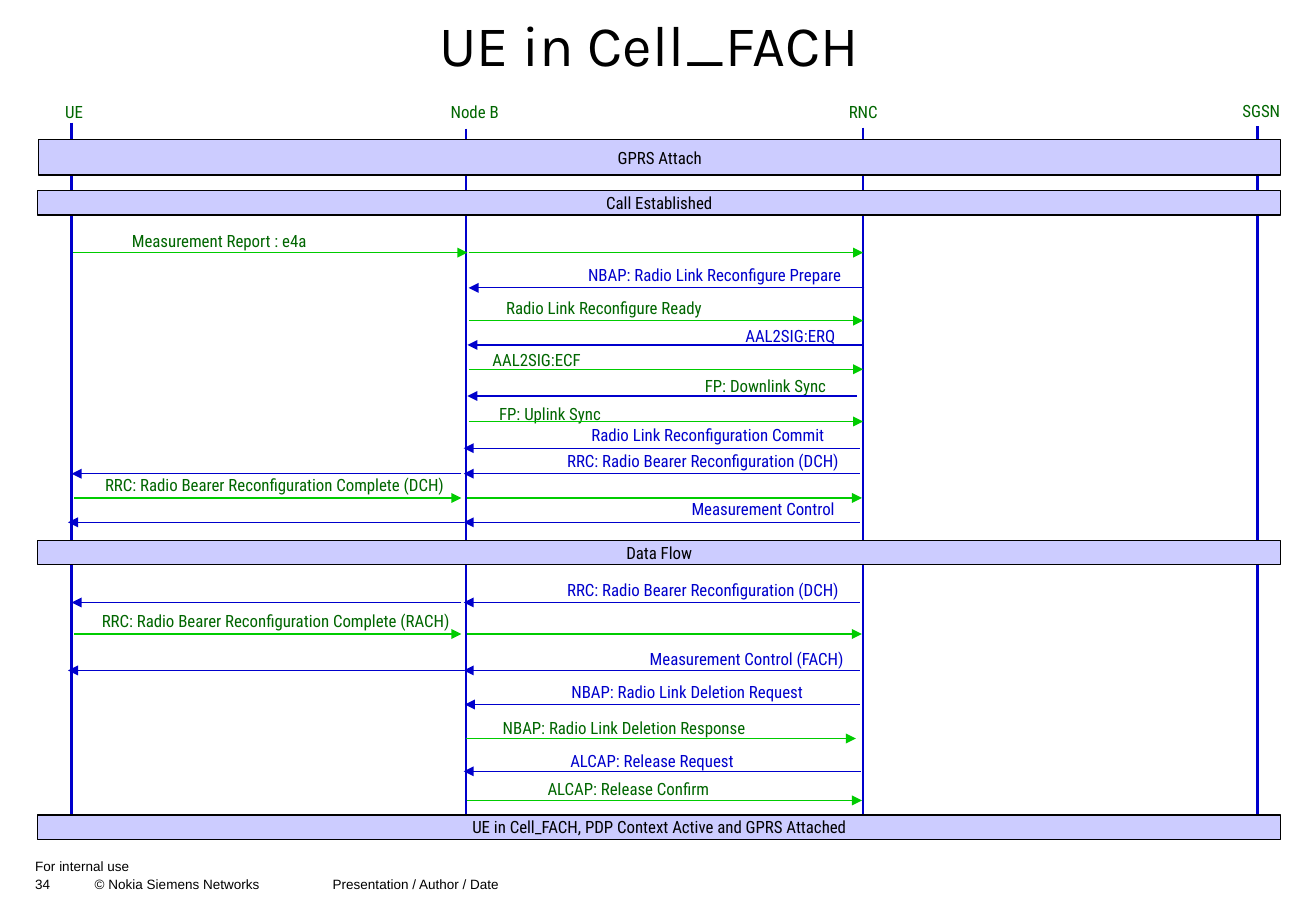
from dataclasses import dataclass
from typing import Optional

from lxml.etree import SubElement
from pptx import Presentation
from pptx.dml.color import RGBColor
from pptx.enum.shapes import MSO_CONNECTOR, MSO_SHAPE
from pptx.enum.text import MSO_ANCHOR, MSO_AUTO_SIZE, PP_ALIGN
from pptx.oxml.ns import qn
from pptx.shapes.shapetree import SlideShapes
from pptx.text.text import TextFrame, _Paragraph
from pptx.util import Inches, Pt

BLACK = RGBColor(0x00, 0x00, 0x00)
BLUE = RGBColor(0x00, 0x00, 0xCC)
GREEN = RGBColor(0x00, 0xCC, 0x00)
DARK_GREEN = RGBColor(0x00, 0x66, 0x00)
LAVENDER = RGBColor(0xCC, 0xCC, 0xFF)

LABEL_FONT = "Roboto Condensed"
LABEL_HEIGHT = 0.27
LIFELINE_END = 6.87


@dataclass(frozen=True)
class Node:
    name: str
    x: float
    top: float
    label_left: float
    label_top: float
    label_width: float


@dataclass(frozen=True)
class Phase:
    name: str
    top: float
    left: float = 0.31
    width: float = 10.24
    height: float = 0.2


@dataclass(frozen=True)
class Message:
    text: str
    left: float
    top: float
    width: float
    y: float
    hops: tuple[tuple[float, float], ...]
    text_color: Optional[RGBColor] = None


@dataclass(frozen=True)
class FooterLine:
    text: str
    top: float
    width: float
    height: float
    tabs: tuple[float, ...] = ()


NODES = (
    Node("UE", 0.59, 1.01, 0.42, 0.79, 0.38),
    Node("Node B", 3.84, 1.06, 3.57, 0.79, 0.68),
    Node("RNC", 7.11, 1.05, 6.87, 0.79, 0.48),
    Node("SGSN", 10.36, 1.04, 10.11, 0.78, 0.56),
)

PHASES = (
    Phase("GPRS Attach", 1.15, 0.32, 10.23, 0.29),
    Phase("Call Established", 1.57),
    Phase("Data Flow", 4.45),
    Phase("UE in Cell_FACH, PDP Context Active and GPRS Attached", 6.71),
)

RNC_TO_NODE_B = (7.08, 3.82)
NODE_B_TO_RNC = (3.86, 7.11)
RECONFIGURATION = (RNC_TO_NODE_B, (3.8, 0.59))
COMPLETION = ((0.61, 3.8), (3.85, 7.1))
CONTROL = (RNC_TO_NODE_B, (3.82, 0.56))

MESSAGES = (
    Message("Measurement Report : e4a", 0.84, 1.85, 1.93, 2.08, ((0.6, 3.85), NODE_B_TO_RNC)),
    Message("NBAP: Radio Link Reconfigure Prepare", 4.54, 2.13, 2.69, 2.37, ((7.12, 3.86),)),
    Message("Radio Link Reconfigure Ready", 3.91, 2.4, 2.13, 2.64, (NODE_B_TO_RNC,)),
    Message("AAL2SIG:ERQ", 5.98, 2.63, 1.06, 2.84, ((7.11, 3.85),)),
    Message("AAL2SIG:ECF", 3.91, 2.83, 1.02, 3.04, (NODE_B_TO_RNC,)),
    Message("FP: Downlink Sync", 5.62, 3.04, 1.37, 3.26, ((7.06, 3.85),), DARK_GREEN),
    Message("FP: Uplink Sync", 3.94, 3.27, 1.18, 3.47, (NODE_B_TO_RNC,)),
    Message("Radio Link Reconfiguration Commit", 4.58, 3.45, 2.5, 3.69, (RNC_TO_NODE_B,)),
    Message("RRC: Radio Bearer Reconfiguration (DCH)", 4.36, 3.66, 2.86, 3.9, RECONFIGURATION),
    Message("RRC: Radio Bearer Reconfiguration Complete (DCH)", 0.5, 3.86, 3.52, 4.1, COMPLETION),
    Message("Measurement Control", 5.47, 4.06, 1.63, 4.3, CONTROL),
    Message("RRC: Radio Bearer Reconfiguration (DCH)", 4.36, 4.72, 2.86, 4.96, RECONFIGURATION),
    Message("RRC: Radio Bearer Reconfiguration Complete (RACH)", 0.47, 4.98, 3.6, 5.22, COMPLETION),
    Message("Measurement Control (FACH)", 5.1, 5.29, 2.1, 5.52, CONTROL),
    Message("NBAP: Radio Link Deletion Request", 4.43, 5.56, 2.46, 5.8, ((7.08, 3.83),)),
    Message("NBAP: Radio Link Deletion Response", 3.86, 5.86, 2.56, 6.08, ((3.84, 7.05),)),
    Message("ALCAP: Release Request", 4.49, 6.13, 1.76, 6.35, ((7.09, 3.82),)),
    Message("ALCAP: Release Confirm", 4.3, 6.36, 1.75, 6.59, ((3.85, 7.1),)),
)

FOOTER = (
    FooterLine("For internal use", 7.06, 3.61, 0.15),
    FooterLine("34\t© Nokia Siemens Networks\tPresentation / Author / Date", 7.21, 8.11, 0.17, (0.49, 2.45)),
)


def style(paragraph: _Paragraph, font: str, size: float, color: RGBColor) -> None:
    paragraph.font.name = font
    paragraph.font.size = Pt(size)
    paragraph.font.color.rgb = color


def clear_insets(frame: TextFrame) -> None:
    frame.margin_left = frame.margin_right = frame.margin_top = frame.margin_bottom = 0


def draw_line(shapes: SlideShapes, start: tuple[float, float], end: tuple[float, float],
              color: RGBColor, width: float, arrow: bool = False) -> None:
    line = shapes.add_connector(MSO_CONNECTOR.STRAIGHT, *map(Inches, start + end))
    line.line.color.rgb = color
    line.line.width = Pt(width)
    properties = line._element.spPr
    if arrow:
        SubElement(properties.find(qn("a:ln")), qn("a:tailEnd"), type="triangle")
    SubElement(properties, qn("a:effectLst"))


def draw_label(shapes: SlideShapes, text: str, left: float, top: float,
               width: float, color: RGBColor) -> None:
    frame = shapes.add_textbox(*map(Inches, (left, top, width, LABEL_HEIGHT))).text_frame
    frame.word_wrap = False
    frame.auto_size = MSO_AUTO_SIZE.SHAPE_TO_FIT_TEXT
    paragraph = frame.paragraphs[0]
    paragraph.text = text
    paragraph.alignment = PP_ALIGN.CENTER
    style(paragraph, LABEL_FONT, 10, color)


def draw_title(shapes: SlideShapes, text: str) -> None:
    frame = shapes.add_textbox(*map(Inches, (0.79, 0.08, 9.11, 0.63))).text_frame
    frame.word_wrap = True
    frame.vertical_anchor = MSO_ANCHOR.MIDDLE
    paragraph = frame.paragraphs[0]
    paragraph.text = text
    paragraph.alignment = PP_ALIGN.CENTER
    paragraph.line_spacing = 0.9
    style(paragraph, "Karla", 34, BLACK)


def draw_node(shapes: SlideShapes, node: Node) -> None:
    draw_line(shapes, (node.x, node.top), (node.x, LIFELINE_END), BLUE, 1.5)
    draw_label(shapes, node.name, node.label_left, node.label_top, node.label_width, DARK_GREEN)


def draw_phase(shapes: SlideShapes, phase: Phase) -> None:
    bounds = map(Inches, (phase.left, phase.top, phase.width, phase.height))
    band = shapes.add_shape(MSO_SHAPE.RECTANGLE, *bounds)
    band.shadow.inherit = False
    band.fill.solid()
    band.fill.fore_color.rgb = LAVENDER
    band.line.color.rgb = BLACK
    band.line.width = Pt(0.75)
    clear_insets(band.text_frame)
    band.text_frame.vertical_anchor = MSO_ANCHOR.MIDDLE
    paragraph = band.text_frame.paragraphs[0]
    paragraph.text = phase.name
    paragraph.alignment = PP_ALIGN.CENTER
    style(paragraph, LABEL_FONT, 10, BLACK)


def draw_message(shapes: SlideShapes, message: Message) -> None:
    start, end = message.hops[0]
    uplink = start < end
    text_color = message.text_color or (DARK_GREEN if uplink else BLUE)
    draw_label(shapes, message.text, message.left, message.top, message.width, text_color)
    for start, end in message.hops:
        draw_line(shapes, (start, message.y), (end, message.y), GREEN if uplink else BLUE, 0.75, arrow=True)


def draw_footer_line(shapes: SlideShapes, footer: FooterLine) -> None:
    frame = shapes.add_textbox(*map(Inches, (0.29, footer.top, footer.width, footer.height))).text_frame
    frame.word_wrap = True
    clear_insets(frame)
    paragraph = frame.paragraphs[0]
    paragraph.text = footer.text
    if footer.tabs:
        tab_list = SubElement(paragraph._p.get_or_add_pPr(), qn("a:tabLst"))
        for position in footer.tabs:
            SubElement(tab_list, qn("a:tab"), pos=str(Inches(position)), algn="l")
    style(paragraph, "Arial", 8, BLACK)


def main() -> None:
    presentation = Presentation()
    presentation.slide_width = Inches(10.84)
    presentation.slide_height = Inches(7.5)
    shapes = presentation.slides.add_slide(presentation.slide_layouts[6]).shapes
    draw_title(shapes, "UE in Cell_FACH")
    for node in NODES:
        draw_node(shapes, node)
    for phase in PHASES:
        draw_phase(shapes, phase)
    for message in MESSAGES:
        draw_message(shapes, message)
    for footer in FOOTER:
        draw_footer_line(shapes, footer)
    presentation.save("out.pptx")


if __name__ == "__main__":
    main()
